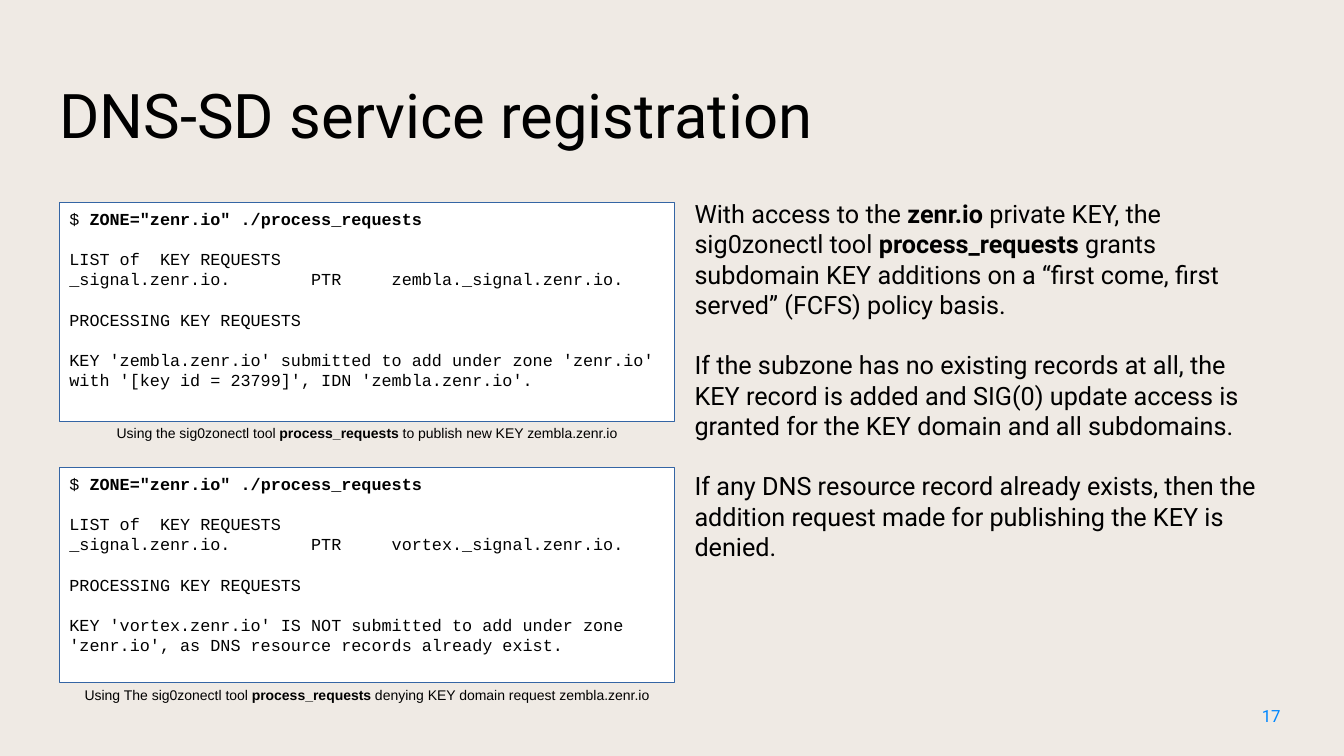
import pptx
import pptx.util
import pptx.dml.color
import pptx.enum.shapes
import pptx.enum.text
import pptx.oxml.xmlchemy
from dataclasses import dataclass
from typing import Any

Pt = pptx.util.Pt
ALIGN = pptx.enum.text.PP_ALIGN
ANCHOR = pptx.enum.text.MSO_ANCHOR


@dataclass(frozen=True)
class TextStyle:
    font: str
    size: float
    color: str = "000000"
    pitch: float | None = None  # exact line height in points
    align: Any = ALIGN.LEFT


@dataclass(frozen=True)
class Theme:
    background: str = "EFEAE4"
    panel_fill: str = "FFFFFF"
    panel_line: str = "3465A4"
    panel_line_width: float = 0.85
    title: TextStyle = TextStyle("Roboto", 44)
    body: TextStyle = TextStyle("Roboto", 18, pitch=21.6)
    code: TextStyle = TextStyle("Courier New", 12, pitch=14.4)
    caption: TextStyle = TextStyle("Arial", 10, align=ALIGN.CENTER)
    number: TextStyle = TextStyle("Roboto", 12, "0087FF")


@dataclass(frozen=True)
class Box:
    left: float
    top: float
    width: float
    height: float


@dataclass(frozen=True)
class Line:
    """One paragraph; **marks** enclose bold words, gap leaves a line free above."""
    text: str
    gap: bool = False


@dataclass(frozen=True)
class Terminal:
    top: float
    height: float
    caption_top: float
    name: str
    result: str
    caption: str


THEME = Theme()
PANEL_LEFT, PANEL_WIDTH = 42.5, 439.2

BODY = [
    Line("With access to the **zenr.io** private KEY, the sig0zonectl tool "
         "**process_requests** grants subdomain KEY additions on a "
         "“first come, first served” (FCFS) policy basis."),
    Line("If the subzone has no existing records at all, the KEY record is added and "
         "SIG(0) update access is granted for the KEY domain and all subdomains.", gap=True),
    Line("If any DNS resource record already exists, then the addition request made "
         "for publishing the KEY is denied.", gap=True),
]

TERMINALS = [
    Terminal(144.7, 156.2, 299.5, "zembla",
             "KEY 'zembla.zenr.io' submitted to add under zone 'zenr.io' "
             "with '[key id = 23799]', IDN 'zembla.zenr.io'.",
             "Using the sig0zonectl tool **process_requests** to publish new KEY zembla.zenr.io"),
    Terminal(334.1, 153.4, 486.7, "vortex",
             "KEY 'vortex.zenr.io' IS NOT submitted to add under zone "
             "'zenr.io', as DNS resource records already exist.",
             "Using The sig0zonectl tool **process_requests** denying KEY domain request "
             "zembla.zenr.io"),
]


def rgb(value: str) -> pptx.dml.color.RGBColor:
    return pptx.dml.color.RGBColor.from_string(value)


def apply_format(target: Any, values: dict[str, Any]) -> None:
    for name, value in values.items():
        setattr(target, name, value)


def place(shape: Any, box: Box) -> None:
    apply_format(shape, {name: Pt(getattr(box, name))
                         for name in ("left", "top", "width", "height")})


def write(shape: Any, lines: list[Line], style: TextStyle, inset: tuple[float, float],
          anchor: Any = ANCHOR.TOP) -> None:
    """Fill a shape with formatted, unbulleted paragraphs."""
    frame = shape.text_frame
    across, down = map(Pt, inset)
    apply_format(frame, {
        "word_wrap": True, "auto_size": pptx.enum.text.MSO_AUTO_SIZE.NONE,
        "vertical_anchor": anchor, "margin_left": across, "margin_right": across,
        "margin_top": down, "margin_bottom": down})
    for index, line in enumerate(lines):
        paragraph = frame.add_paragraph() if index else frame.paragraphs[0]
        properties = paragraph._p.get_or_add_pPr()
        properties.set("marL", "0")
        properties.set("indent", "0")
        properties.append(pptx.oxml.xmlchemy.OxmlElement("a:buNone"))
        apply_format(paragraph, {
            "alignment": style.align, "space_after": Pt(0),
            "space_before": Pt(style.pitch if line.gap else 0)})
        if style.pitch:
            paragraph.line_spacing = Pt(style.pitch)
        for part, text in enumerate(line.text.split("**")):
            if text:
                run = paragraph.add_run()
                run.text = text
                apply_format(run.font, {"name": style.font, "size": Pt(style.size),
                                        "bold": part % 2 == 1})
                run.font.color.rgb = rgb(style.color)


def add_label(slide: Any, box: Box, text: str, style: TextStyle) -> None:
    shape = slide.shapes.add_textbox(0, 0, 0, 0)
    place(shape, box)
    write(shape, [Line(text)], style, (7.2, 3.6))


def add_terminal(slide: Any, terminal: Terminal) -> None:
    """Draw a bordered console panel and its caption."""
    panel = slide.shapes.add_shape(pptx.enum.shapes.MSO_SHAPE.RECTANGLE, 0, 0, 0, 0)
    place(panel, Box(PANEL_LEFT, terminal.top, PANEL_WIDTH, terminal.height))
    panel.shadow.inherit = False
    panel.fill.solid()
    panel.fill.fore_color.rgb = rgb(THEME.panel_fill)
    panel.line.color.rgb = rgb(THEME.panel_line)
    panel.line.width = Pt(THEME.panel_line_width)
    lines = [
        Line('$ **ZONE="zenr.io" ./process_requests**'),
        Line("LIST of  KEY REQUESTS", gap=True),
        Line(f"_signal.zenr.io.        PTR     {terminal.name}._signal.zenr.io."),
        Line("PROCESSING KEY REQUESTS", gap=True),
        Line(terminal.result, gap=True),
    ]
    write(panel, lines, THEME.code, (7.2, 4.3))
    add_label(slide, Box(PANEL_LEFT, terminal.caption_top, PANEL_WIDTH, 18),
              terminal.caption, THEME.caption)


def main() -> None:
    presentation = pptx.Presentation()
    apply_format(presentation, {"slide_width": Pt(960), "slide_height": Pt(540)})
    slide = presentation.slides.add_slide(presentation.slide_layouts[1])
    slide.background.fill.solid()
    slide.background.fill.fore_color.rgb = rgb(THEME.background)

    # Title and explanation
    title, body = slide.shapes.title, slide.placeholders[1]
    place(title, Box(PANEL_LEFT, 28.8, 851, 104.4))
    write(title, [Line("DNS-SD service registration")], THEME.title, (0, 0), ANCHOR.MIDDLE)
    place(body, Box(496.1, 141.8, 411.8, 338.4))
    write(body, BODY, THEME.body, (0, 0))

    # Slide number
    add_label(slide, Box(894.2, 500.4, 44.6, 28.8), "17", THEME.number)

    # Console panels
    for terminal in TERMINALS:
        add_terminal(slide, terminal)

    presentation.save("out.pptx")


if __name__ == "__main__":
    main()
